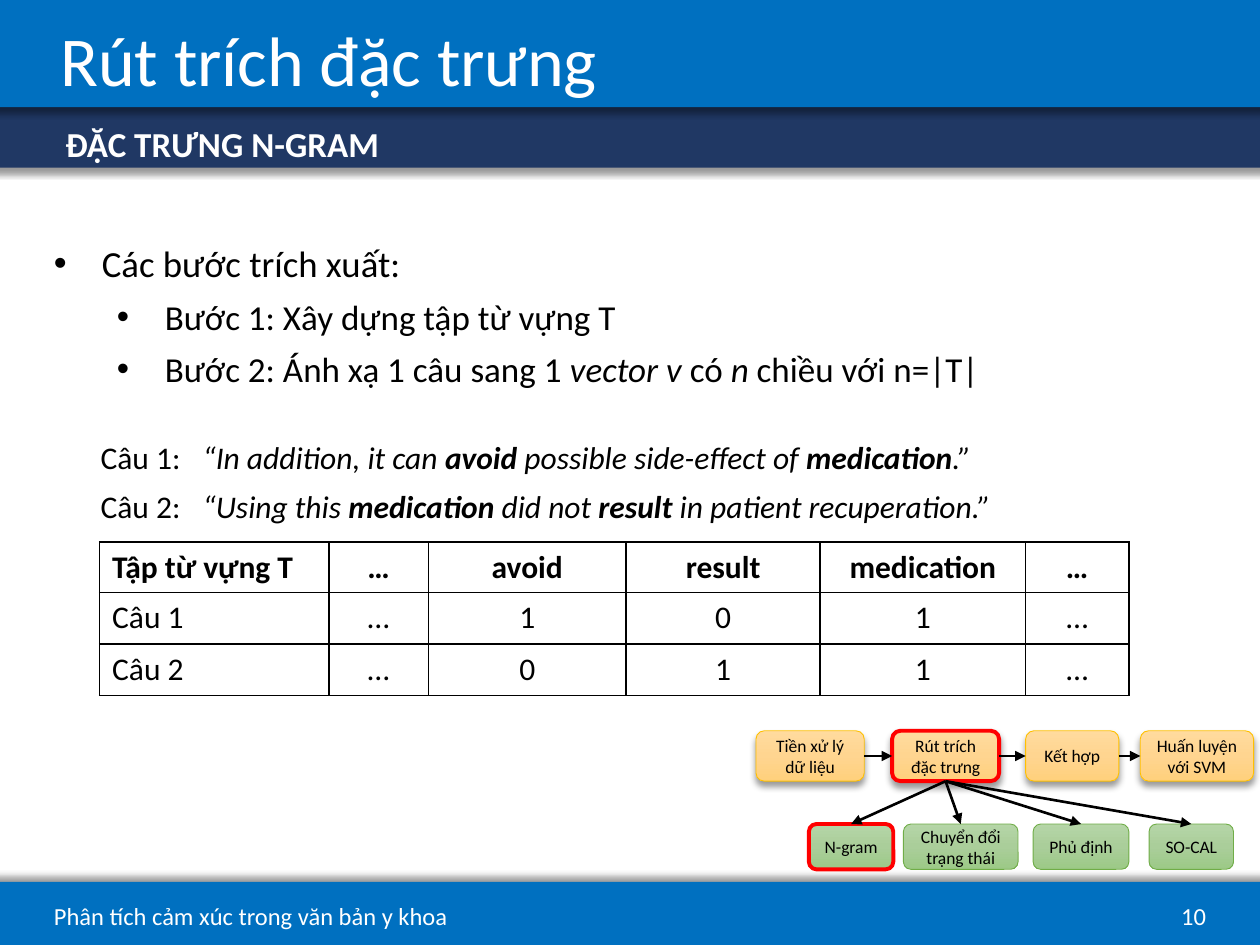
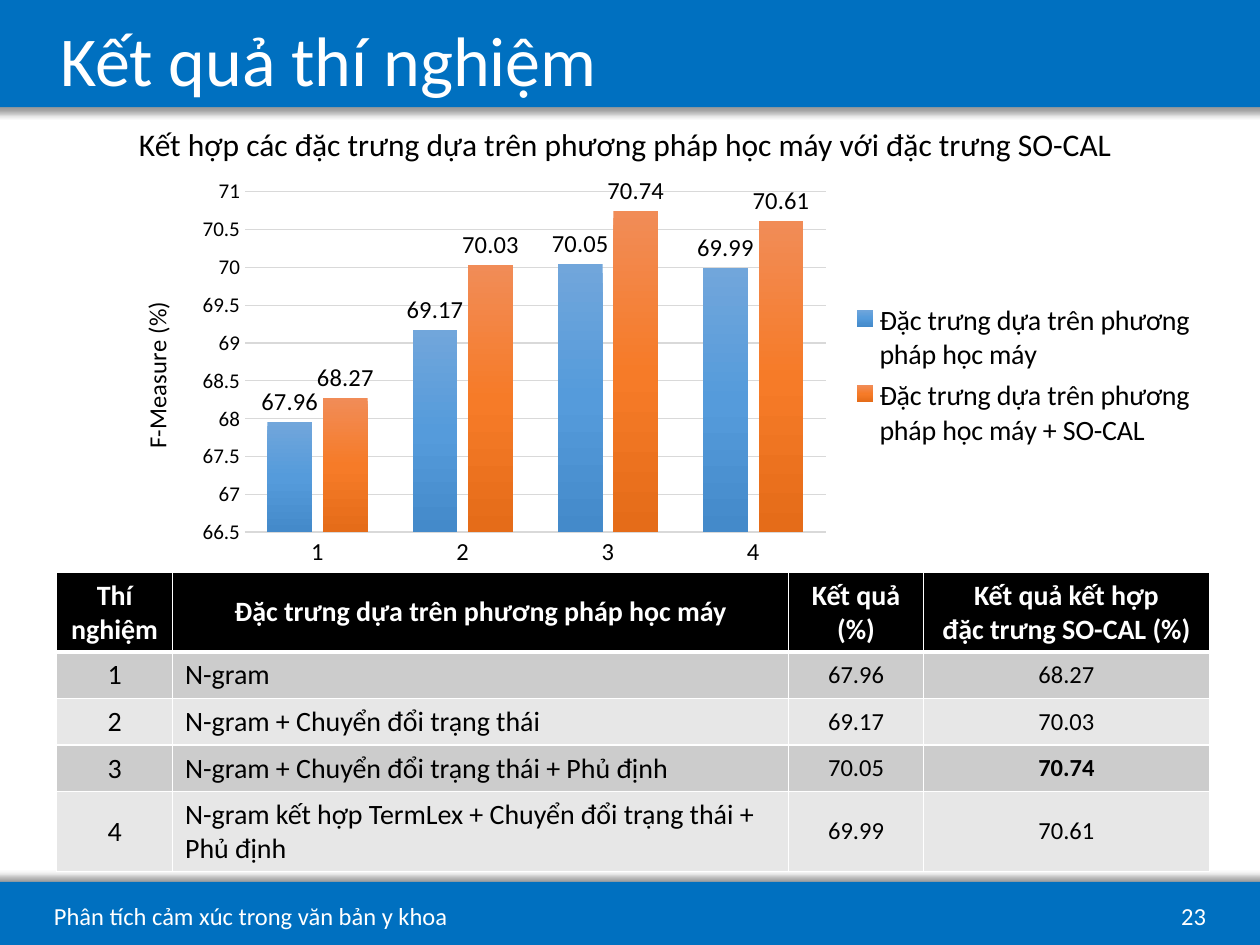
from dataclasses import dataclass
from typing import Any, NamedTuple, Optional, Sequence, Union

from lxml.etree import SubElement
from pptx import Presentation
from pptx.chart.data import CategoryChartData
from pptx.dml.color import RGBColor
from pptx.enum.chart import XL_CHART_TYPE, XL_LABEL_POSITION, XL_LEGEND_POSITION, XL_TICK_MARK
from pptx.enum.shapes import MSO_CONNECTOR, MSO_SHAPE
from pptx.enum.text import MSO_ANCHOR, PP_ALIGN
from pptx.oxml.ns import qn
from pptx.util import Emu, Inches, Pt

WIDTH, HEIGHT = Inches(10), Inches(7.5)
COLUMNS, ROWS = 100, 75
FONT = "Calibri"
BLUE, NAVY, WHITE, BLACK, RED = "0070C0", "203864", "FFFFFF", "000000", "FF0000"
GRID_GREY, DARK_BAND, LIGHT_BAND = "D9D9D9", "CCCCCC", "E7E7E7"
ORANGE_FILL, ORANGE_LINE = ("FFDB9E", "FFD590", "FFD07C"), "FFC000"
GREEN_FILL, GREEN_LINE = ("B5D5A7", "AACE9A", "9CC987"), "70AD47"
SERIES_FILLS = (("71A6DB", "559BDB", "448ACA"), ("F18C57", "F67B28", "E56C19"))
FOOTER = "Phân tích cảm xúc trong văn bản y khoa"
LEFT, CENTER, RIGHT = PP_ALIGN.LEFT, PP_ALIGN.CENTER, PP_ALIGN.RIGHT
SIDE_BOTTOM, SIDE_LEFT, SIDE_RIGHT, SIDE_TOP = 2, 1, 3, 0


class Box(NamedTuple):
    column: float
    row: float
    columns: float
    rows: float

    def lengths(self) -> tuple[Emu, Emu, Emu, Emu]:
        return across(self.column), down(self.row), across(self.columns), down(self.rows)


class Run(NamedTuple):
    text: str
    italic: bool = False
    bold: bool = False


@dataclass(frozen=True)
class Line:
    content: Union[str, Sequence[Run]]
    size: float
    color: str = BLACK
    bold: Optional[bool] = None
    align: Any = LEFT
    after: float = 0
    spacing: Optional[float] = None
    margin: float = 0
    hanging: float = 0
    bullet: bool = False


@dataclass(frozen=True)
class Step:
    text: str
    column: float
    columns: float
    chosen: bool = False


@dataclass(frozen=True)
class TableColumn:
    columns: float
    align: Any
    size: float


@dataclass(frozen=True)
class TableStyle:
    border: str
    header_color: str = BLACK
    header_fill: Optional[str] = None
    bands: Sequence[str] = ()
    header_size: float = 18
    header_centred: bool = False
    header_rule: float = 1
    anchor: Any = MSO_ANCHOR.TOP
    bold_cells: Sequence[tuple[int, int]] = ()


def across(count: float) -> Emu:
    return Emu(round(WIDTH * count / COLUMNS))


def down(count: float) -> Emu:
    return Emu(round(HEIGHT * count / ROWS))


def color_of(value: str) -> RGBColor:
    return RGBColor.from_string(value)


def add_child(parent: Any, tag: str, **attributes: Any) -> Any:
    return SubElement(parent, qn(tag), {key: str(value) for key, value in attributes.items()})


def set_font(font: Any, size: float, color: str = BLACK, bold: Optional[bool] = None) -> None:
    font.name, font.size, font.bold = FONT, Pt(size), bold
    font.color.rgb = color_of(color)


def write_line(paragraph: Any, line: Line) -> None:
    if isinstance(line.content, str):
        paragraph.text = line.content
    else:
        for part in line.content:
            run = paragraph.add_run()
            run.text = part.text
            set_font(run.font, line.size, line.color, part.bold)
            run.font.italic = part.italic
    set_font(paragraph.font, line.size, line.color, line.bold)
    for run in paragraph.runs if isinstance(line.content, str) else ():
        set_font(run.font, line.size, line.color, line.bold)
    paragraph.alignment = line.align
    paragraph.space_after = Pt(line.after)
    if line.spacing:
        paragraph.line_spacing = line.spacing
    properties = paragraph._p.get_or_add_pPr()
    if line.hanging:
        properties.set("marL", str(across(line.margin)))
        properties.set("indent", str(-across(line.hanging)))
    if line.bullet:
        bullets = [add_child(properties, "a:buFont", typeface="Arial"),
                   add_child(properties, "a:buChar", char="•")]
        default = properties.find(qn("a:defRPr"))
        if default is not None:
            for bullet in bullets:
                default.addprevious(bullet)


def write_lines(frame: Any, lines: Sequence[Line], anchor: Any) -> None:
    frame.word_wrap = True
    frame.vertical_anchor = anchor
    for index, line in enumerate(lines):
        write_line(frame.add_paragraph() if index else frame.paragraphs[0], line)


def add_text(slide: Any, box: Box, *lines: Line, anchor: Any = MSO_ANCHOR.TOP) -> None:
    write_lines(slide.shapes.add_textbox(*box.lengths()).text_frame, lines, anchor)


def set_gradient(fill: Any, properties: Any, colors: Sequence[str]) -> None:
    fill.solid()
    solid = properties.find(qn("a:solidFill"))
    gradient = add_child(properties, "a:gradFill", rotWithShape=1)
    stops = add_child(gradient, "a:gsLst")
    for index, color in enumerate(colors):
        stop = add_child(stops, "a:gs", pos=index * 50000)
        add_child(stop, "a:srgbClr", val=color)
    add_child(gradient, "a:lin", ang=5400000, scaled=0)
    properties.replace(solid, gradient)


def set_shadow(shape: Any, angle: int = 90) -> None:
    shape.shadow.inherit = False
    effects = shape.element.spPr.find(qn("a:effectLst"))
    shadow = add_child(effects, "a:outerShdw", blurRad=Pt(4), dist=Pt(3), dir=angle * 60000,
                       algn="ctr", rotWithShape=0)
    add_child(add_child(shadow, "a:srgbClr", val=BLACK), "a:alpha", val=40000)


def add_band(slide: Any, row: float, rows: float, color: str, shadow_angle: int = 90) -> None:
    band = slide.shapes.add_shape(MSO_SHAPE.RECTANGLE, *Box(-0.7, row, 101.8, rows).lengths())
    band.fill.solid()
    band.fill.fore_color.rgb = color_of(color)
    band.line.fill.background()
    set_shadow(band, shadow_angle)


def start_slide(presentation: Any, title: str, number: str, section: str = "") -> Any:
    slide = presentation.slides.add_slide(presentation.slide_layouts[6])
    if section:
        add_band(slide, 8.4, 4.9, NAVY)
    add_band(slide, -1.1, 9.6, BLUE)
    add_band(slide, 70, 5, BLUE, 270)
    if section:
        add_text(slide, Box(4.2, 9.2, 34.5, 4.4), Line(section, 20, WHITE, True))
    middle = MSO_ANCHOR.MIDDLE
    add_text(slide, Box(3.3, 70.4, 35.3, 4.6), Line(FOOTER, 14, WHITE), anchor=middle)
    add_text(slide, Box(74.2, 70.4, 22.5, 4.6), Line(number, 14, WHITE, align=RIGHT), anchor=middle)
    add_text(slide, Box(3.8, 0.9, 73.8, 8.4), Line(title, 40, WHITE, spacing=0.9), anchor=middle)
    return slide


def set_borders(cell: Any, color: str, top: float, bottom: float) -> None:
    properties = cell._tc.get_or_add_tcPr()
    for index, (side, width) in enumerate({"L": 1, "R": 1, "T": top, "B": bottom}.items()):
        border = add_child(properties, f"a:ln{side}", w=Pt(width))
        add_child(add_child(border, "a:solidFill"), "a:srgbClr", val=color)
        properties.insert(index, border)


def add_grid(slide: Any, box: Box, columns: Sequence[TableColumn], heights: Sequence[float],
             texts: Sequence[Sequence[str]], style: TableStyle) -> None:
    table = slide.shapes.add_table(len(heights), len(columns), *box.lengths()).table
    table.first_row = table.horz_banding = False
    for index, column in enumerate(columns):
        table.columns[index].width = across(column.columns)
    for row, height in enumerate(heights):
        table.rows[row].height = down(height)
        header = row == 0
        fill = style.header_fill if header else style.bands and style.bands[(row - 1) % 2]
        for index, column in enumerate(columns):
            cell = table.cell(row, index)
            if fill:
                cell.fill.solid()
                cell.fill.fore_color.rgb = color_of(fill)
            else:
                cell.fill.background()
            set_borders(cell, style.border, style.header_rule if row == 1 else 1,
                        style.header_rule if header else 1)
            cell.vertical_anchor = style.anchor
            write_line(cell.text_frame.paragraphs[0], Line(
                texts[row][index], style.header_size if header else column.size,
                style.header_color if header else BLACK,
                header or (row, index) in style.bold_cells,
                CENTER if header and style.header_centred else column.align))


def add_step(slide: Any, step: Step, row: float, rows: float, fill: Sequence[str],
             line: str, shadow: bool) -> Any:
    shape = slide.shapes.add_shape(MSO_SHAPE.ROUNDED_RECTANGLE,
                                   *Box(step.column, row, step.columns, rows).lengths())
    set_gradient(shape.fill, shape.element.spPr, fill)
    shape.line.color.rgb = color_of(RED if step.chosen else line)
    shape.line.width = Pt(2.25 if step.chosen else 0.5)
    if shadow:
        set_shadow(shape)
    else:
        shape.shadow.inherit = False
    write_lines(shape.text_frame, [Line(step.text, 10, align=CENTER)], MSO_ANCHOR.MIDDLE)
    return shape


def add_arrow(slide: Any, start: Any, start_side: int, end: Any, end_side: int) -> None:
    arrow = slide.shapes.add_connector(MSO_CONNECTOR.STRAIGHT, 0, 0, 0, 0)
    arrow.begin_connect(start, start_side)
    arrow.end_connect(end, end_side)
    arrow.line.color.rgb = color_of(BLACK)
    arrow.line.width = Pt(1.5)
    add_child(arrow.line._get_or_add_ln(), "a:tailEnd", type="triangle")
    add_child(arrow.element.spPr, "a:effectLst")


def add_pipeline(slide: Any) -> None:
    stages = [Step("Tiền xử lý\ndữ liệu", 60, 8.6), Step("Rút trích đặc trưng", 70.8, 8.5, True),
              Step("Kết hợp", 81.4, 7.4), Step("Huấn luyện với SVM", 90.5, 9)]
    features = [Step("N-gram", 64.2, 6.7, True), Step("Chuyển đổi trạng thái", 71.7, 9.1),
                Step("Phủ định", 82, 7.6), Step("SO-CAL", 91.2, 6.7)]
    stage_shapes = [add_step(slide, step, 58, 4, ORANGE_FILL, ORANGE_LINE, True) for step in stages]
    feature_shapes = [add_step(slide, step, 65.4, 3.6, GREEN_FILL, GREEN_LINE, False)
                      for step in features]
    for start, end in zip(stage_shapes, stage_shapes[1:]):
        add_arrow(slide, start, SIDE_RIGHT, end, SIDE_LEFT)
    for feature in feature_shapes:
        add_arrow(slide, stage_shapes[1], SIDE_BOTTOM, feature, SIDE_TOP)


def set_layout(element: Any, index: int, **shares: float) -> None:
    for existing in element.findall(qn("c:layout")):
        element.remove(existing)
    layout = add_child(element, "c:layout")
    element.insert(index, layout)
    manual = add_child(layout, "c:manualLayout")
    if element.tag == qn("c:plotArea"):
        add_child(manual, "c:layoutTarget", val="inner")
    for key in ("x", "y"):
        add_child(manual, f"c:{key}Mode", val="edge")
    for key, share in shares.items():
        add_child(manual, f"c:{key}", val=share)


def add_score_chart(slide: Any, box: Box, names: Sequence[str],
                    scores: Sequence[tuple[float, float]]) -> None:
    data = CategoryChartData()
    data.categories = [str(index) for index in range(1, len(scores) + 1)]
    for name, values in zip(names, zip(*scores)):
        data.add_series(name, values)
    chart = slide.shapes.add_chart(XL_CHART_TYPE.COLUMN_CLUSTERED, *box.lengths(), data).chart
    set_font(chart.font, 10)
    chart.has_title = False
    plot = chart.plots[0]
    plot.gap_width, plot.overlap, plot.vary_by_categories = 100, -24, False
    plot.has_data_labels = True
    plot.data_labels.show_value = True
    plot.data_labels.position = XL_LABEL_POSITION.OUTSIDE_END
    set_font(plot.data_labels.font, 14)
    for series, colors in zip(plot.series, SERIES_FILLS):
        fill = series.format.fill
        set_gradient(fill, series._element.find(qn("c:spPr")), colors)

    for axis, size in ((chart.category_axis, 14), (chart.value_axis, 12)):
        axis.major_tick_mark = axis.minor_tick_mark = XL_TICK_MARK.NONE
        set_font(axis.tick_labels.font, size)
    chart.category_axis.format.line.color.rgb = color_of(GRID_GREY)
    chart.category_axis.format.line.width = Pt(1)
    scale = chart.value_axis
    scale.minimum_scale, scale.maximum_scale, scale.major_unit = 66.5, 71, 0.5
    scale.format.line.fill.background()
    scale.major_gridlines.format.line.color.rgb = color_of(GRID_GREY)
    scale.major_gridlines.format.line.width = Pt(0.75)
    frame = scale.axis_title.text_frame
    write_line(frame.paragraphs[0], Line("F-Measure (%)", 14, bold=False, align=CENTER))
    chart.has_legend = True
    chart.legend.position = XL_LEGEND_POSITION.RIGHT
    chart.legend.include_in_layout = False
    set_font(chart.legend.font, 16)

    root = chart.element
    body = root.xpath(".//c:valAx/c:title//a:bodyPr")[0]
    body.set("rot", "-5400000")
    body.set("vert", "horz")
    set_layout(root.xpath(".//c:plotArea")[0], 0, x=0.12, y=0.05, w=0.53, h=0.84)
    set_layout(root.xpath(".//c:valAx/c:title")[0], 1, x=0.02, y=0.31)
    set_layout(root.xpath(".//c:legend")[0], 1, x=0.67, y=0.31, w=0.32, h=0.39)


def build_ngram_slide(presentation: Any) -> None:
    slide = start_slide(presentation, "Rút trích đặc trưng", "10", "ĐẶC TRƯNG N-GRAM")
    step = dict(size=20, after=6, margin=8.8, hanging=3.8, bullet=True)
    add_text(slide, Box(3.3, 18.6, 89.2, 13),
             Line("Các bước trích xuất:", 21, after=6, margin=3.8, hanging=3.8, bullet=True),
             Line("Bước 1: Xây dựng tập từ vựng T", **step),
             Line([Run("Bước 2: Ánh xạ 1 câu sang 1 "), Run("vector v ", True), Run("có "),
                   Run("n ", True), Run("chiều với n=|T|")], **step))
    sentences = [("Câu 1:", "“In addition, it can ", "avoid", " possible side-effect of ",
                  "medication", ".”"),
                 ("Câu 2:", "“Using this ", "medication", " did not ", "result",
                  " in patient recuperation.”")]
    add_text(slide, Box(7, 34.3, 85.5, 7.9), *(
        Line([Run(f"{label}\t")] + [Run(part, True, index % 2 == 1)
                                    for index, part in enumerate(parts)],
             18, after=6, margin=8.1, hanging=8.1) for label, *parts in sentences))
    columns = [TableColumn(18.2, LEFT, 18)] + [
        TableColumn(width, CENTER, 18) for width in (7.9, 15.7, 15.4, 16.3, 8.2)]
    add_grid(slide, Box(7.9, 43, 81.7, 12.3), columns, (4, 4.1, 4.1), [
        ("Tập từ vựng T", "…", "avoid", "result", "medication", "…"),
        ("Câu 1", "…", "1", "0", "1", "…"),
        ("Câu 2", "…", "0", "1", "1", "…")], TableStyle(BLACK))
    add_pipeline(slide)


def build_result_slide(presentation: Any) -> None:
    slide = start_slide(presentation, "Kết quả thí nghiệm", "23")
    method = "Đặc trưng dựa trên phương pháp học máy"
    add_text(slide, Box(-0.7, 9.4, 100.7, 4), Line(
        "Kết hợp các đặc trưng dựa trên phương pháp học máy với đặc trưng SO-CAL", 18, align=CENTER))
    scores = [(67.96, 68.27), (69.17, 70.03), (70.05, 70.74), (69.99, 70.61)]
    experiments = ["N-gram", "N-gram + Chuyển đổi trạng thái",
                   "N-gram + Chuyển đổi trạng thái + Phủ định",
                   "N-gram kết hợp TermLex + Chuyển đổi trạng thái + Phủ định"]
    texts = [("Thí nghiệm", method, "Kết quả (%)", "Kết quả kết hợp\nđặc trưng SO-CAL (%)")]
    texts += [(str(number), name, f"{alone:.2f}", f"{combined:.2f}") for number, (name, (alone, combined))
              in enumerate(zip(experiments, scores), 1)]
    columns = [TableColumn(9.2, CENTER, 16), TableColumn(48.9, LEFT, 16),
               TableColumn(10.7, CENTER, 14), TableColumn(22.7, CENTER, 14)]
    add_grid(slide, Box(4.5, 45.4, 91.6, 23.7), columns, (6.3, 3.7, 3.7, 3.7, 6.3), texts,
             TableStyle(WHITE, WHITE, BLACK, (DARK_BAND, LIGHT_BAND), 16, True, 3,
                        MSO_ANCHOR.MIDDLE, ((3, 3),)))
    add_score_chart(slide, Box(9, 13.6, 87, 32.2), (method, f"{method} + SO-CAL"), scores)


def main() -> None:
    presentation = Presentation()
    presentation.slide_width, presentation.slide_height = WIDTH, HEIGHT
    build_ngram_slide(presentation)
    build_result_slide(presentation)
    presentation.save("out.pptx")


if __name__ == "__main__":
    main()
